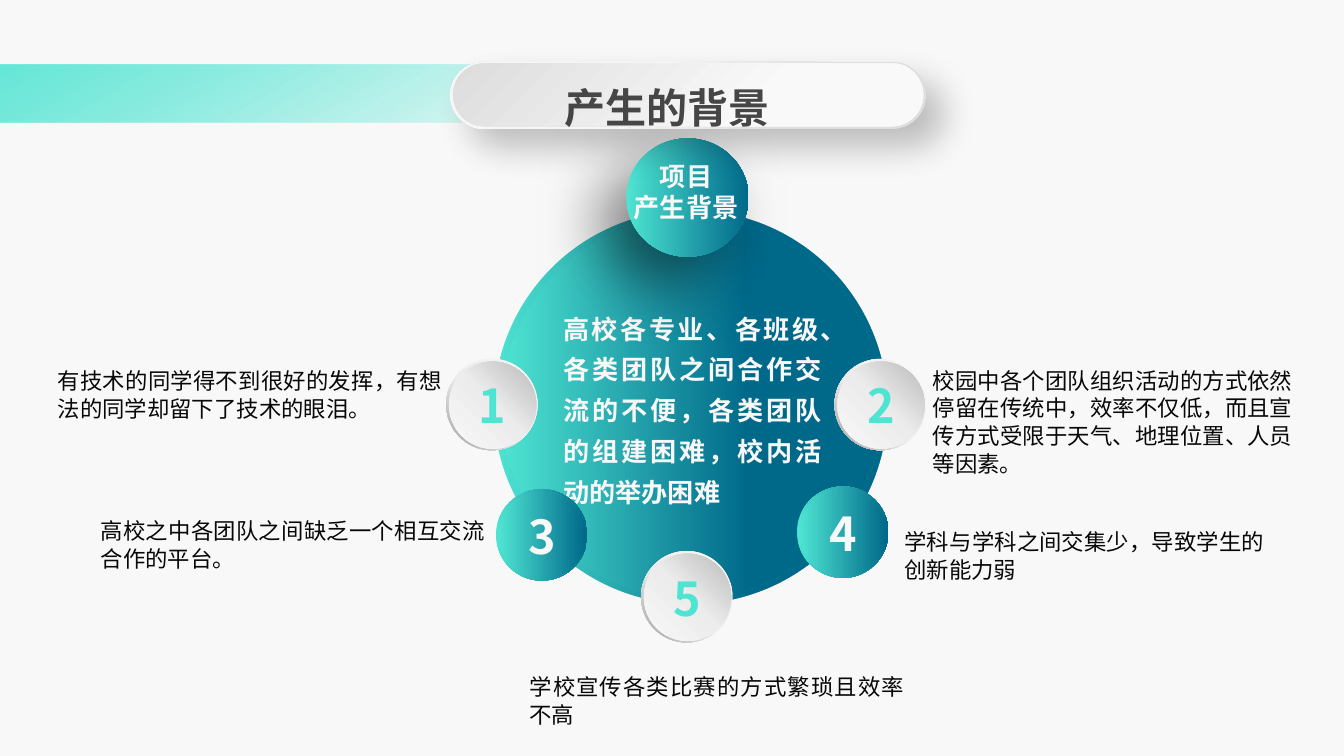
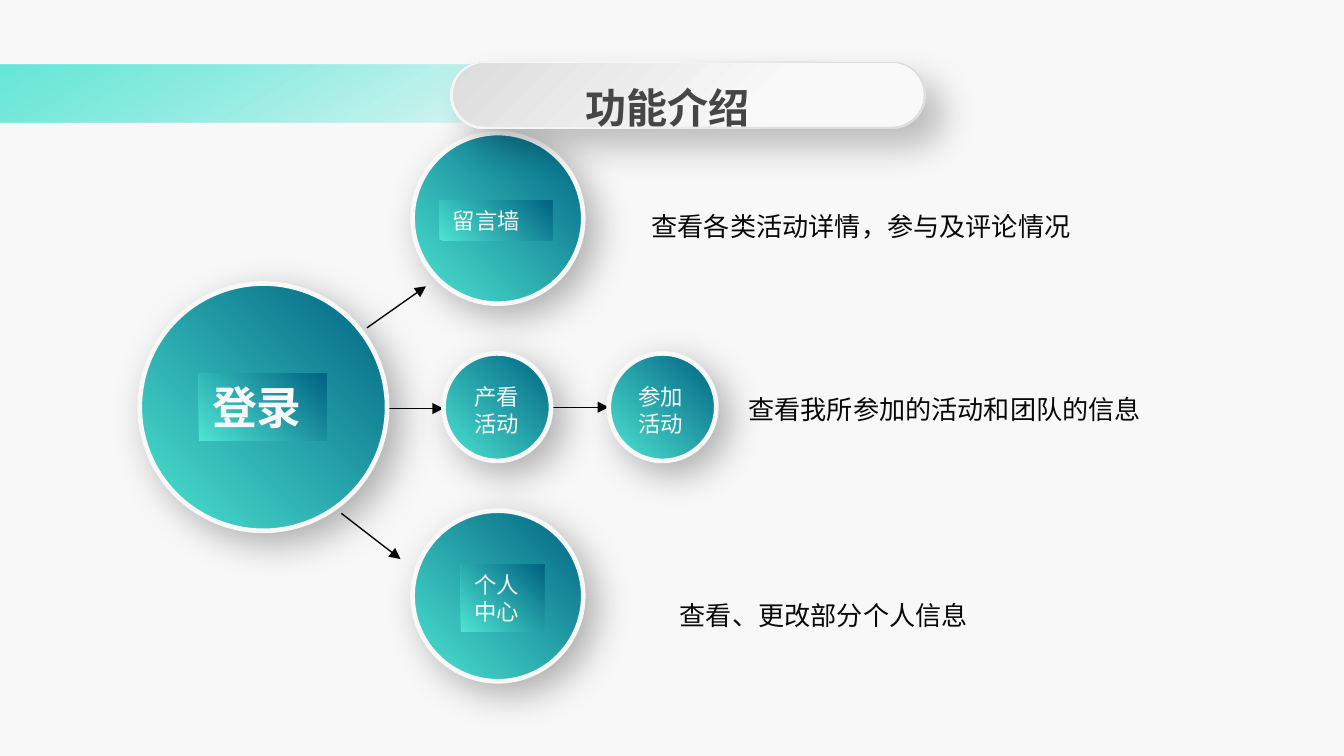
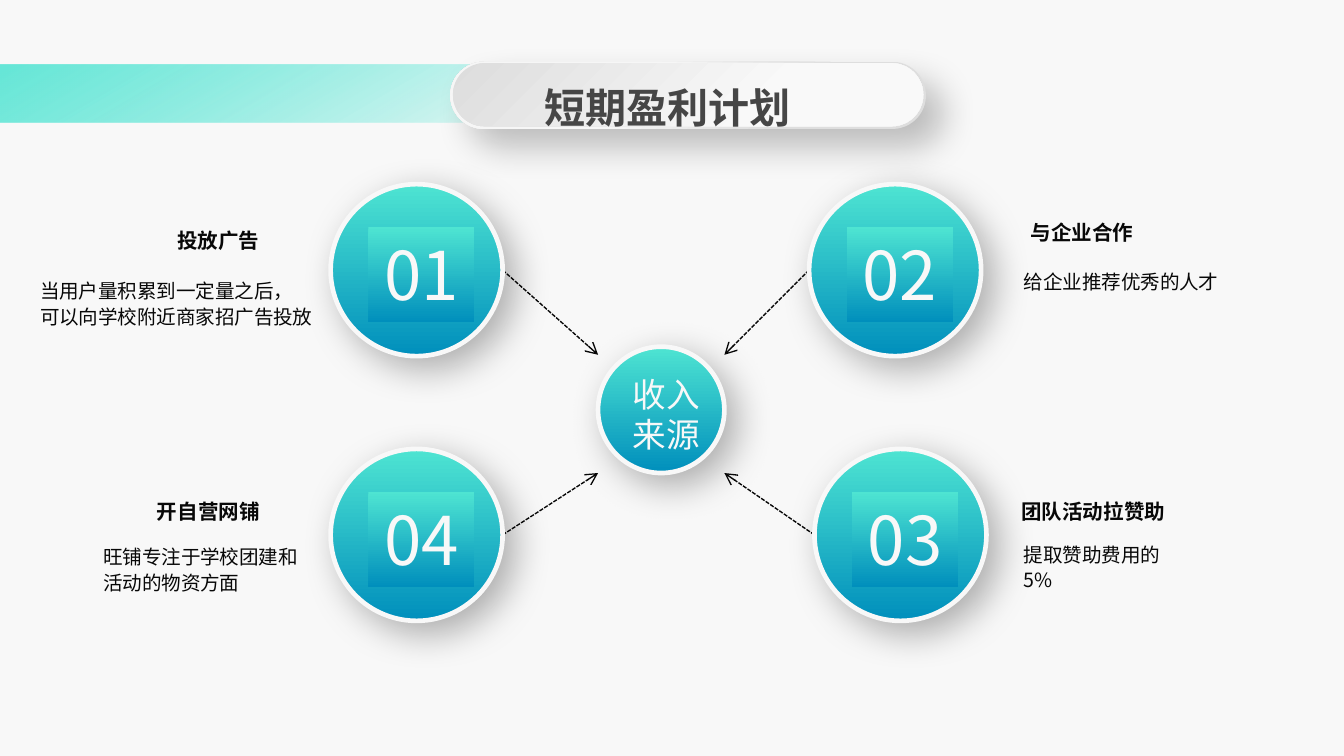
from lxml.etree import SubElement as Sub
from pptx import Presentation
from pptx.dml.color import RGBColor as RGB
from pptx.enum.dml import MSO_LINE as DASH
from pptx.enum.shapes import MSO_CONNECTOR as LINK, MSO_SHAPE as KIND
from pptx.enum.text import MSO_ANCHOR as ANCHOR, MSO_AUTO_SIZE as FIT, PP_ALIGN as ALIGN
from pptx.oxml import parse_xml
from pptx.oxml.ns import nsdecls, qn
from pptx.util import Inches, Pt

FACE = "Noto Sans CJK SC"
HUE = {
    "pale": "F8F8F8", "ink": "080808", "title": "464646", "black": "000000",
    "teal": "4EE4D2", "mint": "20E2CB", "deep": "00698A", "navy": "006382",
    "blue": "008FBC", "ash": "ECECEC", "grey": "BABABA", "dim": "A1A1A1",
    "edge": "DEDEDE", "mist": "E0E0E0", "snow": "F6F6F6", "cap": "DDDDDD",
    "white": "F9F9F9",
}

# Gradients: angle, then stops of position, colour and optional opacity
SEA = (0, (0, "teal"), (100, "deep"))
CORE = (0, (0, "teal"), (65, "deep"))
SLANT = (315, (0, "teal"), (100, "navy"))
FALL = (90, (0, "teal"), (100, "blue"))
RIM = (135, (0, "pale"), (55, "ash"), (100, "dim"))
PEARL = (315, (0, "pale"), (51, "ash"), (100, "grey"))
BAND = (60, (1, "teal", 85), (50, "mint", 0))
FRAME = (225, (1, "edge"), (30, "mist"), (61, "snow"), (100, "pale"))
PILL = (45, (0, "cap"), (67, "white"))

# Shadows: opacity, blur, distance, direction
SOFT = (30, 20, 8, 45)
HEAVY = (50, 35, 20, 135)
DROP = (24, 19, 14, 45)


def color(name):
    return RGB.from_string(HUE[name])


def box(*nums):
    return [Inches(n) for n in nums]


# Fills and effects
def paint(fill, holder, grad):
    """Give a shape or a font a linear gradient."""
    angle, *stops = grad
    fill.background()
    node = parse_xml(f'<a:gradFill rotWithShape="1" {nsdecls("a")}><a:gsLst/>'
                     f'<a:lin ang="{angle * 60000}" scaled="0"/></a:gradFill>')
    for pos, name, *alpha in stops:
        stop = Sub(node[0], qn("a:gs"), pos=str(pos * 1000))
        tint = Sub(stop, qn("a:srgbClr"), val=HUE[name])
        if alpha:
            Sub(tint, qn("a:alpha"), val=str(alpha[0] * 1000))
    holder.replace(holder.find(qn("a:noFill")), node)


def shade(shape, glow):
    alpha, blur, dist, angle = glow
    effect = shape.element.spPr.find(qn("a:effectLst"))
    outer = Sub(effect, qn("a:outerShdw"), blurRad=str(Pt(blur)), dist=str(Pt(dist)),
                dir=str(angle * 60000), algn="ctr", rotWithShape="0")
    tint = Sub(outer, qn("a:srgbClr"), val=HUE["black"])
    Sub(tint, qn("a:alpha"), val=str(alpha * 1000))


# Text
def write(shape, text, size, ink="ink", bold=False, align=ALIGN.LEFT, gap=None,
          face=FACE, anchor=ANCHOR.TOP):
    frame = shape.text_frame
    frame.text = text
    frame.vertical_anchor = anchor
    for para in frame.paragraphs:
        para.alignment = align
        if gap:
            para.line_spacing = gap
        font = para.font
        font.size, font.bold, font.name = Pt(size), bold, face
        node = next(para._p.iter(qn("a:defRPr")))
        if isinstance(ink, tuple):
            paint(font.fill, node, ink)
        else:
            font.color.rgb = color(ink)
        Sub(node, qn("a:ea"), typeface=face)


def label(slide, at, text, size, wrap=True, flush=False, grad=None, **look):
    item = slide.shapes.add_textbox(*box(*at))
    frame = item.text_frame
    frame.word_wrap = wrap
    frame.auto_size = FIT.SHAPE_TO_FIT_TEXT
    if flush:
        frame.margin_left = frame.margin_right = 0
        frame.margin_top = frame.margin_bottom = 0
    if grad:
        paint(item.fill, item.element.spPr, grad)
    write(item, text, size, **look)


def note(slide, at, text):
    label(slide, at, text, 12, flush=True, align=ALIGN.JUSTIFY, gap=Pt(15))


# Shapes and arrows
def form(slide, kind, at, grad, rim=0, glow=None, bend=None):
    item = slide.shapes.add_shape(kind, *box(*at))
    item.shadow.inherit = False
    paint(item.fill, item.element.spPr, grad)
    if rim:
        item.line.color.rgb = color("pale")
        item.line.width = Pt(rim)
    else:
        item.line.fill.background()
    if bend:
        item.adjustments[0] = bend
    if glow:
        shade(item, glow)
    return item


def disc(slide, x, y, size, grad):
    form(slide, KIND.OVAL, (x, y, size, size), grad, rim=2.5, glow=SOFT)


def orb(slide, x, y, text, light):
    """A numbered ball with a thin ring."""
    ring, ball, ink = (RIM, PEARL, SEA) if light else (SEA, SEA, "pale")
    form(slide, KIND.DONUT, (x, y, 0.68, 0.68), ring, bend=0.05)
    item = form(slide, KIND.OVAL, (x + 0.02, y + 0.02, 0.65, 0.65), ball)
    write(item, text, 25, ink, bold=True, align=ALIGN.CENTER, anchor=ANCHOR.MIDDLE)


def arrow(slide, start, end, head="triangle", dash=None):
    item = slide.shapes.add_connector(LINK.STRAIGHT, *box(*start, *end))
    item.line.color.rgb = color("ink")
    item.line.width = Pt(0.75)
    if dash:
        item.line.dash_style = dash
    props = item.element.spPr
    Sub(props.find(qn("a:ln")), qn("a:tailEnd"), type=head)
    Sub(props, qn("a:effectLst"))


# Shared look
def dress(deck, slide):
    """Put the background and the side band on the master."""
    master = deck.slide_master
    back = master.background.fill
    back.solid()
    back.fore_color.rgb = color("pale")
    band = form(slide, KIND.RECTANGLE, (-0.01, 0.48, 9.88, 0.43), BAND)
    band.element.nvSpPr.cNvPr.set("id", "99")
    master.shapes.element.insert(2, band.element)


def head(slide, text):
    """Draw the title pill and lift the title above it."""
    form(slide, KIND.ROUNDED_RECTANGLE, (3.35, 0.46, 3.54, 0.5), FRAME, glow=DROP, bend=0.5)
    form(slide, KIND.ROUNDED_RECTANGLE, (3.37, 0.47, 3.5, 0.47), PILL, bend=0.5)
    title = slide.shapes.title
    title.left, title.top, title.width, title.height = box(3.74, 0.45, 2.45, 0.54)
    title.text_frame.auto_size = FIT.SHAPE_TO_FIT_TEXT
    write(title, text, 22, "title", bold=True, align=ALIGN.CENTER, gap=1.3)
    slide.shapes.element.append(title.element)


# Slides
def causes(slide):
    form(slide, KIND.DONUT, (3.66, 1.55, 2.96, 2.96), CORE, rim=2, bend=0.05)
    form(slide, KIND.OVAL, (3.73, 1.62, 2.83, 2.83), CORE)
    label(slide, (4.19, 2.26, 1.92, 1.53),
          "高校各专业、各班级、各类团队之间合作交流的不便，各类团队的组建困难，校内活动的举办困难",
          14, flush=True, ink="pale", bold=True, align=ALIGN.JUSTIFY, gap=1.3, face="Calibri")
    form(slide, KIND.OVAL, (4.66, 1.03, 0.91, 0.88), SEA, glow=HEAVY)
    label(slide, (4.71, 1.19, 0.79, 0.47), "项目\n产生背景", 14, wrap=False, flush=True,
          ink="pale", bold=True, align=ALIGN.CENTER)

    points = [
        (3.32, 2.67, True, (0.43, 2.72, 2.86, 0.42),
         "有技术的同学得不到很好的发挥，有想法的同学却留下了技术的眼泪。"),
        (6.21, 2.67, True, (6.94, 2.72, 2.68, 0.84),
         "校园中各个团队组织活动的方式依然停留在传统中，效率不仅低，而且宣传方式受限于天气、地理位置、人员等因素。"),
        (3.69, 3.64, False, (0.75, 3.84, 2.86, 0.42),
         "高校之中各团队之间缺乏一个相互交流合作的平台。"),
        (5.93, 3.62, False, (6.73, 3.92, 2.68, 0.42),
         "学科与学科之间交集少，导致学生的创新能力弱"),
        (4.77, 4.1, True, (3.94, 5, 2.79, 0.41),
         "学校宣传各类比赛的方式繁琐且效率不高"),
    ]
    for num, (x, y, light, at, text) in enumerate(points, 1):
        orb(slide, x, y, str(num), light)
        note(slide, at, text)


def features(slide):
    for start, end in [((2.88, 3.04), (3.3, 3.04)), ((4.1, 3.03), (4.53, 3.03)),
                       ((2.73, 2.44), (3.17, 2.13)), ((2.54, 3.82), (2.98, 4.16))]:
        arrow(slide, start, end)

    for x, y, text in [(4.75, 1.52, "查看各类活动详情，参与及评论情况"),
                       (4.96, 4.41, "查看、更改部分个人信息"),
                       (5.47, 2.88, "查看我所参加的活动和团队的信息")]:
        label(slide, (x, y, 3.7, 0.34), text, 14)

    steps = [
        (1.04, 2.11, 1.84, (1.48, 2.78, 0.95, 0.5), "登录", 24, SLANT),
        (3.07, 0.99, 1.27, (3.27, 1.49, 0.84, 0.3), "留言墙", 12, SLANT),
        (3.3, 2.63, 0.8, (3.43, 2.8, 0.62, 0.5), "产看活动", 12, None),
        (4.53, 2.63, 0.8, (4.65, 2.8, 0.62, 0.5), "参加活动", 12, None),
        (3.07, 3.8, 1.27, (3.43, 4.2, 0.62, 0.5), "个人中心", 12, SLANT),
    ]
    for x, y, size, at, text, points, grad in steps:
        disc(slide, x, y, size, SLANT)
        label(slide, at, text, points, grad=grad, ink="pale", bold=points > 12)


def income(slide):
    for start, end in [((6.02, 2.01), (5.39, 2.64)), ((6.06, 3.98), (5.39, 3.52)),
                       ((3.74, 2.01), (4.45, 2.64)), ((3.74, 3.98), (4.45, 3.52))]:
        arrow(slide, start, end, "arrow", DASH.SQUARE_DOT)

    for num, (x, y) in enumerate([(2.46, 1.37), (6.02, 1.37), (6.06, 3.34), (2.46, 3.34)], 1):
        disc(slide, x, y, 1.28, FALL)
        label(slide, (x + 0.28, y + 0.32, 0.79, 0.71), f"{num:02}", 36, wrap=False,
              grad=FALL, ink="pale", align=ALIGN.CENTER)
    disc(slide, 4.45, 2.58, 0.94, FALL)
    label(slide, (4.61, 2.73, 0.71, 0.71), "收入来源", 18, ink="pale")

    plans = [
        ((7.57, 1.59, 0.97, 0.29), "与企业合作", (7.52, 1.94, 1.67, 0.3),
         "给企业推荐优秀的人才", False),
        ((7.5, 3.66, 1.28, 0.29), "团队活动拉赞助", (7.52, 3.97, 1.4, 0.48),
         "提取赞助费用的5%", True),
        ((1.07, 3.66, 0.97, 0.29), "开自营网铺", (0.67, 3.99, 1.67, 0.48),
         "旺铺专注于学校团建和\n活动的物资方面", False),
        ((1.22, 1.65, 0.82, 0.29), "投放广告", (0.2, 2.01, 2.26, 0.48),
         "当用户量积累到一定量之后，\n可以向学校附近商家招广告投放", False),
    ]
    for top, name, at, text, wrap in plans:
        label(slide, top, name, 11, wrap=False, bold=True)
        label(slide, at, text, 10.5, wrap=wrap, gap=1.1)


def main():
    deck = Presentation()
    deck.slide_width = Inches(10)
    deck.slide_height = deck.slide_width * 9 // 16
    pages = [("产生的背景", causes), ("功能介绍", features), ("短期盈利计划", income)]
    for num, (title, draw) in enumerate(pages):
        slide = deck.slides.add_slide(deck.slide_layouts[5])
        if num == 0:
            dress(deck, slide)
        draw(slide)
        head(slide, title)
    deck.save("out.pptx")


if __name__ == "__main__":
    main()
